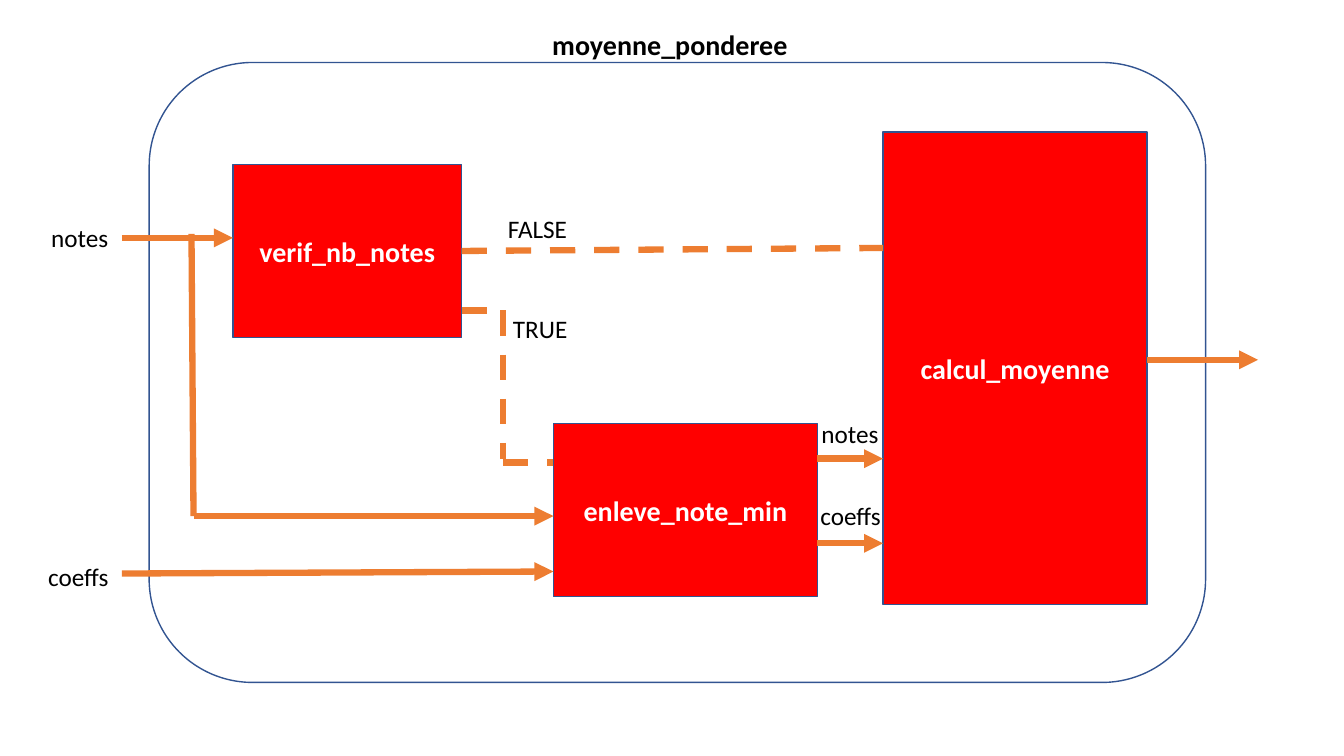
"""Draw the block diagram of the weighted mean function."""
from lxml import etree
from pptx import Presentation
from pptx.dml.color import RGBColor
from pptx.enum.dml import MSO_LINE
from pptx.enum.shapes import MSO_CONNECTOR, MSO_SHAPE
from pptx.enum.text import MSO_ANCHOR, MSO_AUTO_SIZE, PP_ALIGN
from pptx.oxml.ns import qn
from pptx.util import Inches, Pt

STRAIGHT = MSO_CONNECTOR.STRAIGHT
RECTANGLE = MSO_SHAPE.RECTANGLE
ROUNDED = MSO_SHAPE.ROUNDED_RECTANGLE
DASH = MSO_LINE.DASH
MIDDLE = MSO_ANCHOR.MIDDLE
CENTER = PP_ALIGN.CENTER
GROW = MSO_AUTO_SIZE.SHAPE_TO_FIT_TEXT
RIGHT_SIDE = 3

COLUMNS, ROWS = 133.33, 75
WIDTH, HEIGHT = Inches(13.33), Inches(7.5)
FONT = "Calibri"
RED, NAVY, ORANGE, WHITE, BLACK = "FF0000", "325491", "ED7D31", "FFFFFF", "000000"

VERIF_LEFT, VERIF_RIGHT = 23.1, 45.8
ENLEVE_LEFT, ENLEVE_RIGHT = 54.9, 81.1
CALCUL_LEFT, CALCUL_RIGHT = 87.6, 113.8
INPUT, FORK, ELBOW, OUTPUT = 12.1, 19.2, 49.9, 124.8
NOTES_ROW, FORK_ROW, COEFFS_ROW = 23.6, 51.2, 56.9
TRUE_ROW, ENTRY_ROW = 30.8, 45.9


def col(count):
    """Return the length of a number of grid columns."""
    return round(WIDTH * count / COLUMNS)


def row(count):
    """Return the length of a number of grid rows."""
    return round(HEIGHT * count / ROWS)


def color(value):
    """Return a colour from its hex string."""
    return RGBColor.from_string(value)


def write(box, text, size, ink, bold):
    """Set one line of styled text in a box and return its paragraph."""
    box.text_frame.text = text
    para = box.text_frame.paragraphs[0]
    font = para.runs[0].font
    font.name, font.size, font.bold = FONT, Pt(size), bold
    font.color.rgb = color(ink)
    return para


def add_frame(page, kind, left, top, right, bottom):
    """Add an unfilled outlined shape between two grid corners."""
    frame = page.shapes.add_shape(
        kind, col(left), row(top), col(right - left), row(bottom - top))
    frame.shadow.inherit = False
    frame.fill.background()
    frame.line.color.rgb = color(NAVY)
    frame.line.width = Pt(1)
    return frame


def add_block(page, name, left, top, right, bottom):
    """Add a red block that carries a function name."""
    block = add_frame(page, RECTANGLE, left, top, right, bottom)
    block.fill.solid()
    block.fill.fore_color.rgb = color(RED)
    block.text_frame.vertical_anchor = MIDDLE
    write(block, name, 20, WHITE, True).alignment = CENTER
    return block


def add_label(page, text, left, top, width, height=4, size=18, bold=False):
    """Add a text label that does not wrap."""
    label = page.shapes.add_textbox(col(left), row(top), col(width), row(height))
    label.text_frame.word_wrap = False
    label.text_frame.auto_size = GROW
    write(label, text, size, BLACK, bold)


def add_wire(page, start, end, arrow=False, dashed=False):
    """Add an orange line between two grid points."""
    wire = page.shapes.add_connector(
        STRAIGHT, col(start[0]), row(start[1]), col(end[0]), row(end[1]))
    wire.line.color.rgb = color(ORANGE)
    wire.line.width = Pt(4.5)
    if dashed:
        wire.line.dash_style = DASH
    properties = wire.line._get_or_add_ln()
    if arrow:
        etree.SubElement(properties, qn("a:tailEnd"), type="triangle")
    etree.SubElement(properties.getparent(), qn("a:effectLst"))
    return wire


def main():
    """Build the diagram and save it."""
    deck = Presentation()
    deck.slide_width, deck.slide_height = WIDTH, HEIGHT
    page = deck.slides.add_slide(deck.slide_layouts[6])

    add_frame(page, ROUNDED, 14.8, 6.2, 119.6, 67.7)
    verif = add_block(page, "verif_nb_notes", VERIF_LEFT, 16.3, VERIF_RIGHT, 33.5)
    add_block(page, "enleve_note_min", ENLEVE_LEFT, 42, ENLEVE_RIGHT, 59.2)
    add_block(page, "calcul_moyenne", CALCUL_LEFT, 13.1, CALCUL_RIGHT, 60)
    add_label(page, "moyenne_ponderee", 53.8, 2.2, 25.6, 4.4, 20, True)

    for start, end in (
        ((ENLEVE_RIGHT, 45.5), (CALCUL_LEFT, 45.5)),
        ((ENLEVE_RIGHT, 53.9), (CALCUL_LEFT, 53.9)),
        ((INPUT, COEFFS_ROW), (ENLEVE_LEFT, 56.7)),
        ((INPUT, NOTES_ROW), (VERIF_LEFT, NOTES_ROW)),
        ((FORK, FORK_ROW), (ENLEVE_LEFT, FORK_ROW)),
        ((CALCUL_RIGHT, 35.7), (OUTPUT, 35.7)),
    ):
        add_wire(page, start, end, arrow=True)
    add_wire(page, (FORK, FORK_ROW), (19, 23.2))

    false_wire = add_wire(page, (VERIF_RIGHT, 24.9), (CALCUL_LEFT, 24.6), dashed=True)
    false_wire.begin_connect(verif, RIGHT_SIDE)
    for start, end in (
        ((ELBOW, ENTRY_ROW), (ENLEVE_LEFT, ENTRY_ROW)),
        ((ELBOW, TRUE_ROW), (ELBOW, 45.5)),
        ((VERIF_RIGHT, TRUE_ROW), (ELBOW, TRUE_ROW)),
    ):
        add_wire(page, start, end, dashed=True)

    for text, left, top, width in (
        ("notes", 4.1, 21.6, 7.7),
        ("coeffs", 3.8, 55.2, 8.1),
        ("notes", 80.5, 41, 7.7),
        ("coeffs", 80.4, 49.1, 8.1),
        ("TRUE", 49.9, 30.6, 7.5),
        ("FALSE", 49.4, 20.7, 7.9),
    ):
        add_label(page, text, left, top, width)

    deck.save("out.pptx")


if __name__ == "__main__":
    main()
